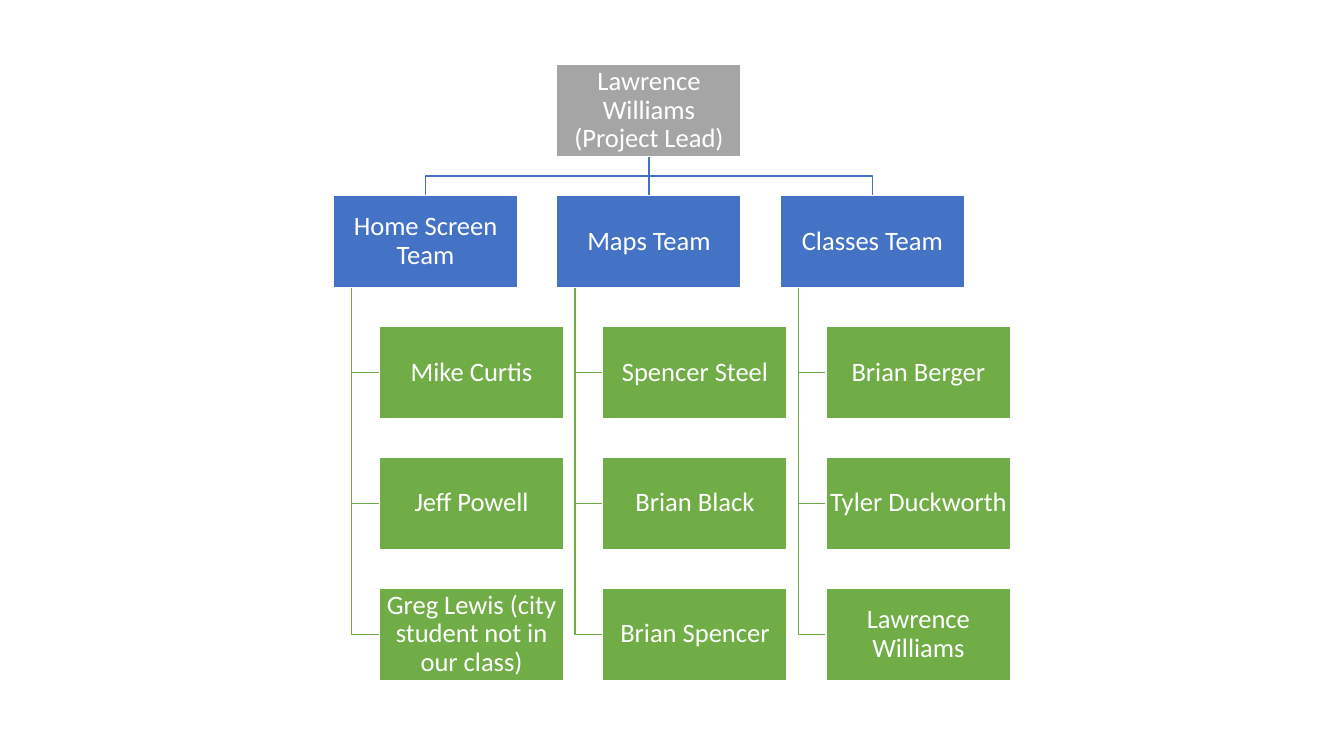
from pptx import Presentation
from pptx.dml.color import RGBColor
from pptx.enum.shapes import MSO_CONNECTOR, MSO_SHAPE
from pptx.enum.text import MSO_ANCHOR, PP_ALIGN
from pptx.oxml.xmlchemy import OxmlElement
from pptx.util import Cm, Pt

STRAIGHT = MSO_CONNECTOR.STRAIGHT
RECTANGLE = MSO_SHAPE.RECTANGLE
MIDDLE = MSO_ANCHOR.MIDDLE
CENTER = PP_ALIGN.CENTER

WHITE = RGBColor(0xFF, 0xFF, 0xFF)
GRAY = RGBColor(0xA5, 0xA5, 0xA5)
BLUE = RGBColor(0x44, 0x72, 0xC4)
GREEN = RGBColor(0x70, 0xAD, 0x47)

LEFT, TOP = 8.4, 1.62
BOX_WIDTH, BOX_HEIGHT = 4.65, 2.33
COLUMN_STEP, ROW_STEP = 5.63, 3.3
MEMBER_INDENT, TRUNK_INDENT = 1.16, 0.46

LEAD = "Lawrence Williams (Project Lead)"
TEAMS = {
    "Home Screen Team": [
        "Mike Curtis",
        "Jeff Powell",
        "Greg Lewis (city student not in our class)",
    ],
    "Maps Team": ["Spencer Steel", "Brian Black", "Brian Spencer"],
    "Classes Team": ["Brian Berger", "Tyler Duckworth", "Lawrence Williams"],
}


class OrgChart:
    """Draws the boxes and links of an organisation chart on one slide."""

    font_name = "Calibri"
    font_size = Pt(19)
    line_width = Pt(1)
    inset = Cm(0.03)

    def __init__(self, slide):
        self.shapes = slide.shapes

    def box(self, text, left, top, color):
        box = self.shapes.add_shape(
            RECTANGLE, Cm(left), Cm(top), Cm(BOX_WIDTH), Cm(BOX_HEIGHT)
        )
        box.shadow.inherit = False
        box.fill.solid()
        box.fill.fore_color.rgb = color
        self.outline(box, WHITE)
        frame = box.text_frame
        frame.text = text
        frame.word_wrap = True
        frame.vertical_anchor = MIDDLE
        frame.margin_left = frame.margin_right = self.inset
        frame.margin_top = frame.margin_bottom = self.inset
        para = frame.paragraphs[0]
        para.alignment = CENTER
        para.line_spacing = 0.9
        span = para.runs[0]
        span.font.name = self.font_name
        span.font.size = self.font_size
        span.font.color.rgb = WHITE

    def straight_link(self, start, end, color):
        points = [Cm(value) for value in (*start, *end)]
        link = self.shapes.add_connector(STRAIGHT, *points)
        self.outline(link, color)
        link._element.spPr.append(OxmlElement("a:effectLst"))

    def bent_link(self, points, color):
        start, *bends = [(Cm(x), Cm(y)) for x, y in points]
        builder = self.shapes.build_freeform(*start)
        builder.add_line_segments(bends, close=False)
        link = builder.convert_to_shape()
        link.shadow.inherit = False
        link.fill.background()
        self.outline(link, color)

    def outline(self, shape, color):
        shape.line.color.rgb = color
        shape.line.width = self.line_width


deck = Presentation()
deck.slide_width, deck.slide_height = Cm(33.87), Cm(19.05)
chart = OrgChart(deck.slides.add_slide(deck.slide_layouts[6]))

lead_left = LEFT + COLUMN_STEP
lead_center = lead_left + BOX_WIDTH / 2
lead_bottom = TOP + BOX_HEIGHT
team_top = TOP + ROW_STEP
team_bottom = team_top + BOX_HEIGHT
branch_y = (lead_bottom + team_top) / 2

for column, (team, members) in enumerate(TEAMS.items()):
    team_left = LEFT + column * COLUMN_STEP
    team_center = team_left + BOX_WIDTH / 2
    start, end = (lead_center, lead_bottom), (team_center, team_top)
    if team_left == lead_left:
        chart.straight_link(start, end, BLUE)
    else:
        bends = [(lead_center, branch_y), (team_center, branch_y)]
        chart.bent_link([start, *bends, end], BLUE)

    trunk_x = team_left + TRUNK_INDENT
    member_left = team_left + MEMBER_INDENT
    for row, member in enumerate(members, start=1):
        member_top = team_top + row * ROW_STEP
        middle = member_top + BOX_HEIGHT / 2
        chart.bent_link(
            [(trunk_x, team_bottom), (trunk_x, middle), (member_left, middle)], GREEN
        )
        chart.box(member, member_left, member_top, GREEN)
    chart.box(team, team_left, team_top, BLUE)
chart.box(LEAD, lead_left, TOP, GRAY)

deck.save("out.pptx")
